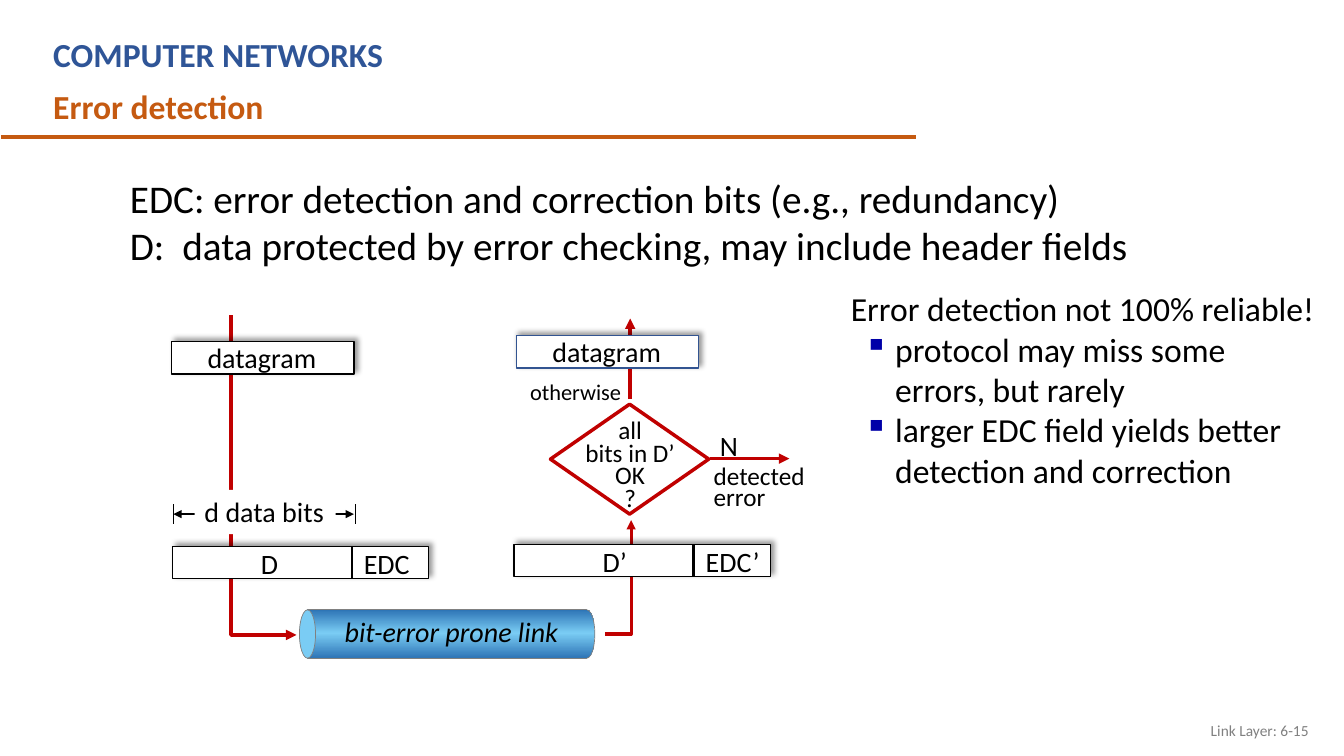
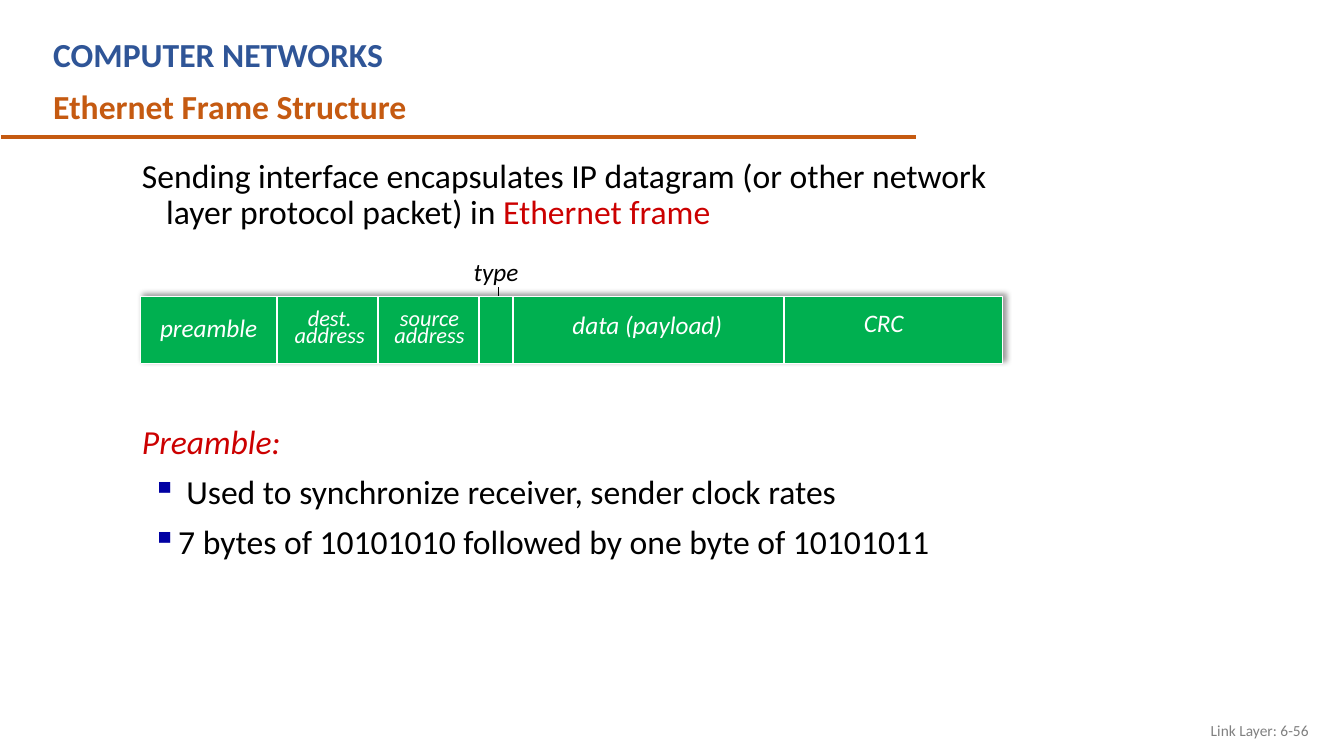
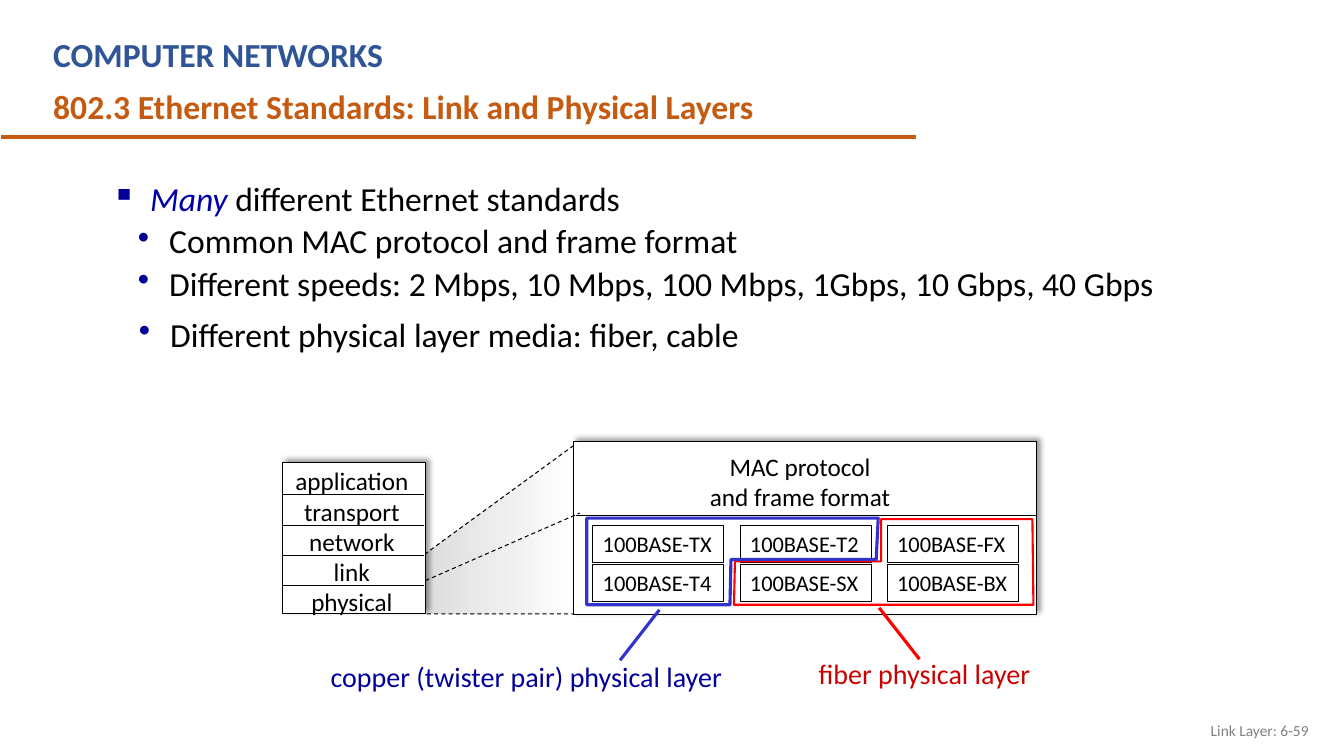
"""Three computer networks slides on error detection and Ethernet."""
from dataclasses import dataclass

from lxml.etree import SubElement
from pptx import Presentation
from pptx.dml.color import RGBColor
from pptx.enum.dml import MSO_LINE as Dash
from pptx.enum.shapes import MSO_CONNECTOR as Connector, MSO_SHAPE as Preset
from pptx.enum.text import MSO_ANCHOR as Anchor, MSO_AUTO_SIZE as Fit, PP_ALIGN as Align
from pptx.oxml.ns import qn
from pptx.util import Inches, Pt

FONT = "Calibri"
BLACK, WHITE, GREY = "000000", "FFFFFF", "808080"
BLUE, ORANGE, GREEN = "2F5597", "C55A11", "00B050"
FLOW, RED, NAVY = "C00000", "CC0000", "000099"
COPPER, FIBER = "3333CC", "FF0000"
PIPE = [(0, "2E75B6"), (52, "7ACCF4"), (100, "2E75B6")]
FADE = [(0, "DDDDDD"), (100, "FFFFFF")]


def rgb(value):
    return RGBColor.from_string(value)


@dataclass
class Para:
    runs: object
    left: float = 0
    hang: float = 0
    bullet: str = ""
    level: int = 0
    tab: float = 0


class Deck:
    def __init__(self):
        self.prs = Presentation()
        self.prs.slide_width, self.prs.slide_height = Inches(13.33), Inches(7.5)
        self.slide = None

    def start(self, title, number):
        self.slide = self.prs.slides.add_slide(self.prs.slide_layouts[6])
        self.text(0.43, 0.29, 8.2, 0.5, ["COMPUTER NETWORKS"], color=BLUE, bold=True, wrap=True)
        self.text(0.43, 0.8, 8.2, 0.5, [title], color=ORANGE, bold=True, wrap=True)
        self.line(0.01, 1.36, 9.09, 1.36, ORANGE, 3)
        self.text(10.08, 7.05, 3, 0.4, [f"Link Layer: {number}"], 11, GREY,
                  align=Align.RIGHT, anchor=Anchor.MIDDLE, wrap=True)

    def stroke(self, shape, color, weight, dashed=False, ends=()):
        shape.line.color.rgb = rgb(color)
        shape.line.width = Pt(weight)
        if dashed:
            shape.line.dash_style = Dash.DASH
        for end in ends:
            SubElement(shape._element.spPr.find(qn("a:ln")), qn(f"a:{end}End"), type="triangle")

    def paint(self, shape, fill=None, line=None, weight=1, shadow=False, angle=90, **style):
        if isinstance(fill, list):
            shape.fill.gradient()
            shape.fill.gradient_angle = angle
            stops = shape._element.spPr.find(qn("a:gradFill")).find(qn("a:gsLst"))
            stops.clear()
            for position, color in fill:
                stop = SubElement(stops, qn("a:gs"), pos=str(position * 1000))
                SubElement(stop, qn("a:srgbClr"), val=color)
        elif fill:
            shape.fill.solid()
            shape.fill.fore_color.rgb = rgb(fill)
        else:
            shape.fill.background()
        if line:
            self.stroke(shape, line, weight, **style)
        else:
            shape.line.fill.background()
        shape.shadow.inherit = False
        if shadow:
            effects = shape._element.spPr.find(qn("a:effectLst"))
            outer = SubElement(effects, qn("a:outerShdw"), blurRad=str(Pt(4)),
                               dist=str(Pt(3)), dir="18900000", algn="bl", rotWithShape="0")
            tint = SubElement(outer, qn("a:srgbClr"), val=BLACK)
            SubElement(tint, qn("a:alpha"), val="40000")

    def shape(self, left, top, width, height, fill=None, line=None, preset=Preset.RECTANGLE, **style):
        shape = self.slide.shapes.add_shape(
            preset, Inches(left), Inches(top), Inches(width), Inches(height))
        self.paint(shape, fill, line, **style)

    def outline(self, points, line, weight, fill=None, close=True, **style):
        corners = [(Inches(x), Inches(y)) for x, y in points]
        builder = self.slide.shapes.build_freeform(*corners[0])
        builder.add_line_segments(corners[1:], close=close)
        self.paint(builder.convert_to_shape(), fill, line, weight, **style)

    def line(self, x1, y1, x2, y2, color=BLACK, weight=0.75, **style):
        connector = self.slide.shapes.add_connector(
            Connector.STRAIGHT, Inches(x1), Inches(y1), Inches(x2), Inches(y2))
        self.stroke(connector, color, weight, **style)
        SubElement(connector._element.spPr, qn("a:effectLst"))

    def text(self, left, top, width, height, paras, size=24, color=BLACK, bold=False,
             italic=False, align=Align.LEFT, anchor=Anchor.TOP, spacing=None, before=0,
             wrap=False, bullet_color=NAVY):
        box = self.slide.shapes.add_textbox(
            Inches(left), Inches(top), Inches(width), Inches(height))
        frame = box.text_frame
        frame.word_wrap = wrap
        frame.auto_size = Fit.NONE if wrap else Fit.SHAPE_TO_FIT_TEXT
        frame.vertical_anchor = anchor
        for index, para in enumerate(paras):
            para = para if isinstance(para, Para) else Para(para)
            p = frame.add_paragraph() if index else frame.paragraphs[0]
            p.alignment = align
            p.level = para.level
            if spacing:
                p.line_spacing = spacing
            if before and index:
                p.space_before = Pt(before)
            self.indent(p, para, bullet_color)
            p.font.name, p.font.size = FONT, Pt(size)
            p.font.bold, p.font.italic = bold, italic
            p.font.color.rgb = rgb(color)
            runs = [(para.runs, None, None)] if isinstance(para.runs, str) else para.runs
            for words, tint, slant in runs:
                run = p.add_run()
                run.text = words
                if tint:
                    run.font.color.rgb = rgb(tint)
                if slant is not None:
                    run.font.italic = slant
        return box

    def indent(self, p, para, bullet_color):
        props = p._p.get_or_add_pPr()
        if para.left:
            props.set("marL", str(Inches(para.left)))
            props.set("indent", str(Inches(-para.hang)))
        if para.bullet:
            SubElement(SubElement(props, qn("a:buClr")), qn("a:srgbClr"), val=bullet_color)
            SubElement(props, qn("a:buChar"), char=para.bullet)
        if para.tab:
            SubElement(SubElement(props, qn("a:tabLst")), qn("a:tab"),
                       pos=str(Inches(para.tab)), algn="l")

    def datagram(self, left, top, border):
        self.shape(left, top, 1.81, 0.32, WHITE, border, shadow=True)
        self.text(left + 0.26, top - 0.06, 1.29, 0.44, ["datagram"], 20)

    def frame(self, left, top, data, code, data_width, code_width):
        self.shape(left, top, 2.54, 0.32, WHITE, BLACK, shadow=True)
        self.text(left + 0.78, top - 0.05, data_width, 0.44, [data], 20)
        self.text(left + 1.8, top - 0.05, code_width, 0.44, [code], 20)
        self.line(left + 1.78, top, left + 1.78, top + 0.32, weight=1.75)


def error_detection(deck):
    deck.start("Error detection", "6-15")
    deck.text(1.19, 1.68, 10.79, 1.04, [
        "EDC: error detection and correction bits (e.g., redundancy)",
        Para("D:\tdata protected by error checking, may include header fields", tab=0.52),
    ], 28, wrap=True)
    deck.text(8.34, 2.81, 4.84, 2.12, ["Error detection not 100% reliable!"] + [
        Para(point, 0.44, 0.31, "▪", 1) for point in (
            "protocol may miss some errors, but rarely",
            "larger EDC field yields better detection and correction")
    ], wrap=True, bullet_color="0000A8")

    deck.outline([(2.29, 3.13), (2.29, 6.3), (2.94, 6.3)], FLOW, 2.5, close=False, ends=["tail"])
    deck.datagram(1.7, 3.39, BLACK)
    deck.frame(1.71, 5.42, "D", "EDC", 0.37, 0.66)
    deck.line(1.72, 5.1, 3.51, 5.1, weight=1.75, ends=["head", "tail"])
    data_bits = deck.text(1.93, 4.86, 1.4, 0.44, ["d data bits"], 20)
    deck.paint(data_bits, WHITE)
    for edge in (1.72, 3.52):
        deck.line(edge, 5, edge, 5.2, weight=0.5)

    deck.shape(3.05, 6.05, 2.77, 0.48, PIPE, GREY, weight=0.5)
    for left, fill in ((2.97, PIPE[1][1]), (5.74, PIPE)):
        deck.shape(left, 6.05, 0.16, 0.48, fill, GREY, Preset.OVAL, weight=0.5)
    deck.shape(5.53, 6.05, 0.29, 0.48, PIPE)
    deck.text(3.32, 6.05, 2.34, 0.44, ["bit-error prone link"], 20, italic=True)

    deck.outline([(6, 6.29), (6.26, 6.29), (6.26, 5.16)], FLOW, 2.25, close=False, ends=["tail"])
    deck.frame(5.1, 5.4, "D’", "EDC’", 0.44, 0.74)
    deck.shape(5.46, 4.01, 1.57, 1.09, WHITE, FLOW, Preset.DIAMOND, weight=2.5)
    deck.text(5.7, 4.13, 1.1, 1.02, ["all", "bits in D’", "OK", "?"], 18,
              align=Align.CENTER, spacing=0.75)
    deck.text(7.04, 4.2, 0.38, 0.44, ["N"], 20)
    deck.text(6.98, 4.6, 1.17, 0.54, ["detected", "error"], 18, spacing=0.7)
    deck.line(7.04, 4.55, 7.83, 4.55, FLOW, 2.5, ends=["tail"])
    deck.line(6.25, 3.96, 6.25, 3.16, FLOW, 2.5, ends=["tail"])
    deck.text(5.16, 3.78, 1.12, 0.3, ["otherwise"], 16, spacing=0.7)
    deck.datagram(5.12, 3.33, "325491")


def frame_structure(deck):
    deck.start("Ethernet Frame Structure", "6-56")
    sending = [("Sending interface encapsulates IP datagram (or other network "
                "layer protocol packet) in ", None, None), ("Ethernet frame", RED, None)]
    deck.text(1.16, 1.53, 8.79, 0.9, [Para(sending, 0.39, 0.24)], spacing=0.9, wrap=True)

    deck.line(4.94, 2.85, 4.94, 3.1)
    deck.shape(1.39, 2.94, 8.55, 0.67, GREEN, WHITE, weight=0.75, shadow=True)
    for divider in (2.75, 3.75, 4.75, 5.09, 7.78):
        deck.line(divider, 2.94, divider, 3.61, WHITE, 1.5)
    for left, top, width, size, words in (
            (1.34, 3.18, 1.46, 18, ["preamble"]),
            (2.69, 3.07, 1.16, 16, ["dest.", "address"]),
            (3.68, 3.07, 1.16, 16, ["source", "address"]),
            (5.48, 3.15, 1.88, 18, ["data (payload)"]),
            (8.18, 3.13, 1.17, 18, ["CRC"])):
        deck.text(left, top, width, 0.1 + 0.16 * len(words), words, size, WHITE, italic=True,
                  align=Align.CENTER, spacing=Pt(12), wrap=True)
    deck.text(4.6, 2.49, 1.05, 0.36, ["type"], 18, italic=True, wrap=True)

    deck.text(1.16, 4.17, 9.17, 1.97, [
        Para([("Preamble:", RED, True)], 0.39, 0.24),
        Para("Used to synchronize receiver, sender clock rates", 0.59, 0.34, "▪"),
        Para("7 bytes of 10101010 followed by one byte of 10101011", 0.51, 0.26, "▪"),
    ], spacing=0.9, before=10, wrap=True, bullet_color="0000A3")


def ethernet_standards(deck):
    deck.start("802.3 Ethernet Standards: Link and Physical Layers", "6-59")
    many = [("Many ", "0000A8", True), ("different Ethernet standards", None, None)]
    common, speeds, media = (Para(point, 0.57, 0.31, "•", 1) for point in (
        "Common MAC protocol and frame format",
        "Different speeds: 2 Mbps, 10 Mbps, 100 Mbps, 1Gbps, 10 Gbps, 40 Gbps",
        "Different physical layer media: fiber, cable"))
    deck.text(1.01, 1.76, 12.25, 1.35, [Para(many, 0.38, 0.38, "▪"), common, speeds],
              spacing=0.9, before=4.5, wrap=True)
    deck.text(1.02, 3.11, 10.66, 0.51, [media], spacing=0.9, wrap=True)

    deck.outline([(5.69, 4.42), (4.21, 5.5), (4.22, 6.09), (5.73, 6.09)], BLACK, 0.75,
                 FADE, angle=0, dashed=True)
    layers = ["application", "transport", "network", "link", "physical"]
    deck.shape(2.8, 4.59, 1.42, 1.5, WHITE, BLACK, weight=0.75, shadow=True)
    deck.text(2.82, 4.57, 1.34, 1.62, layers, 18, align=Align.CENTER)
    for row in range(len(layers) - 1):
        deck.line(2.8, 4.91 + 0.3 * row, 4.21, 4.91 + 0.3 * row)

    deck.shape(5.69, 4.38, 4.59, 1.72, WHITE, BLACK, weight=0.75, shadow=True)
    deck.line(5.71, 5.11, 10.28, 5.11)
    deck.text(6.93, 4.43, 2.01, 0.71, ["MAC protocol", "and frame format"], 18,
              align=Align.CENTER)
    deck.line(4.22, 5.76, 5.75, 5.09, dashed=True)
    for row, variants in enumerate((("TX", "T2", "FX"), ("T4", "SX", "BX"))):
        for column, variant in enumerate(variants):
            standard = deck.text(5.88 + 1.46 * column, 5.21 + 0.39 * row, 1.3, 0.37,
                                 [f"100BASE-{variant}"], 16)
            deck.paint(standard, None, BLACK, 0.75)

    deck.outline([(8.74, 5.15), (8.74, 5.57), (7.29, 5.57), (7.28, 6), (10.25, 6), (10.24, 5.15)],
                 FIBER, 1.5)
    deck.line(8.72, 6.03, 9.12, 6.54, FIBER, 2.25)
    deck.text(8.02, 6.46, 2.32, 0.44, ["fiber physical layer"], 20, RED)
    deck.outline([(8.71, 5.14), (8.69, 5.55), (7.25, 5.55), (7.24, 6), (5.82, 6), (5.82, 5.14)],
                 COPPER, 2.25)
    deck.line(6.54, 6.05, 6.15, 6.55, COPPER, 2.25)
    deck.text(3.18, 6.49, 4.26, 0.44, ["copper (twister pair) physical layer"], 20, NAVY,
              wrap=True)


def main():
    deck = Deck()
    for build in (error_detection, frame_structure, ethernet_standards):
        build(deck)
    deck.prs.save("out.pptx")


if __name__ == "__main__":
    main()
